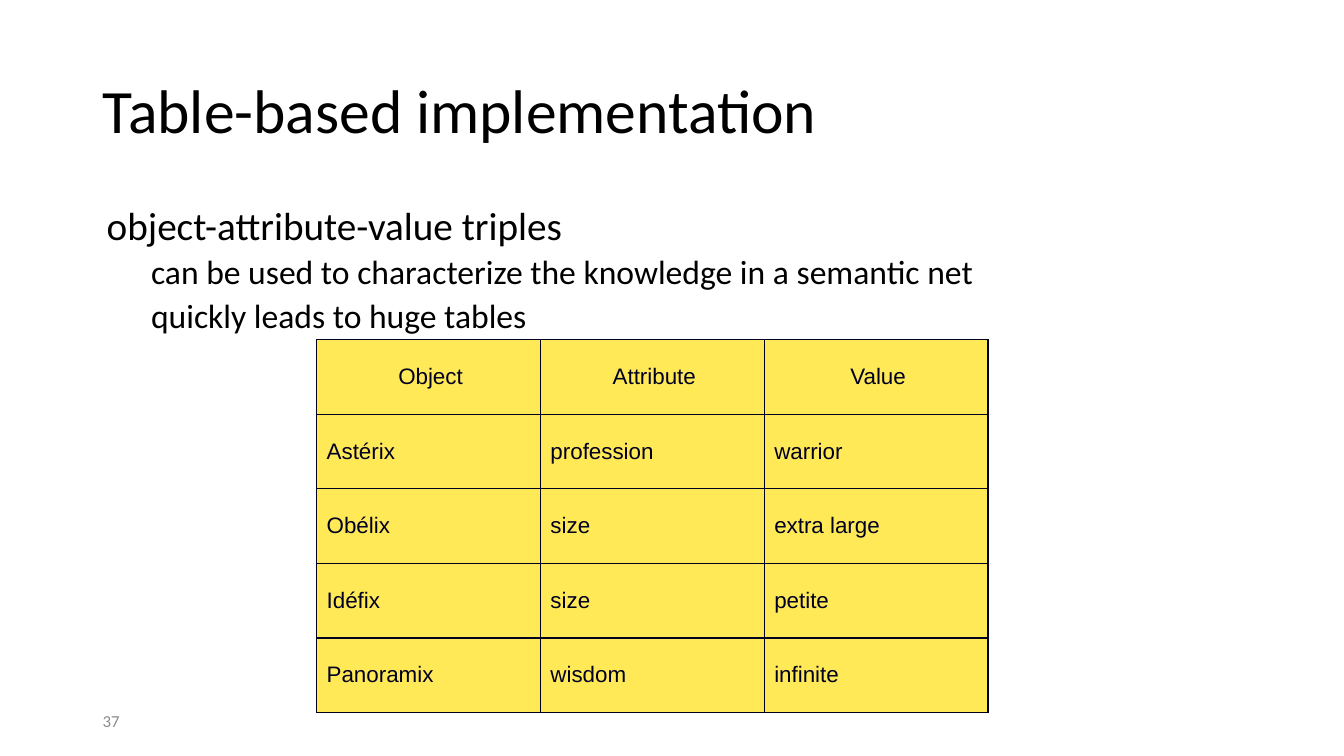
from dataclasses import dataclass

import pptx
import pptx.dml.color
import pptx.enum.text
import pptx.oxml
import pptx.oxml.ns
import pptx.slide
import pptx.table
import pptx.text.text
import pptx.util

RGBColor = pptx.dml.color.RGBColor
Align = pptx.enum.text.PP_ALIGN
Anchor = pptx.enum.text.MSO_ANCHOR

EMU_PER_PX = 9144  # 100 px to the inch
BLACK = RGBColor(0x00, 0x00, 0x00)
GREY = RGBColor(0x8C, 0x8C, 0x8C)
NAVY = RGBColor(0x00, 0x00, 0x20)
YELLOW = RGBColor(0xFF, 0xE9, 0x57)


@dataclass(frozen=True)
class Style:
    font: str
    size: int
    color: RGBColor
    indent: int = 0
    align: Align = Align.LEFT
    line_spacing: float = 1.0
    space_before: int = 0


@dataclass(frozen=True)
class Frame:
    left: int
    top: int
    width: int
    height: int


TITLE = Style("Calibri", 44, BLACK, line_spacing=0.9)
POINT = Style("Calibri", 28, BLACK, indent=4, line_spacing=0.9, space_before=10)
SUBPOINT = Style("Calibri", 24, BLACK, indent=48, line_spacing=0.9, space_before=5)
NUMBER = Style("Calibri", 12, GREY)
HEADER = Style("Arial", 16, NAVY, indent=4, align=Align.CENTER)
ENTRY = Style("Arial", 16, NAVY, indent=4)

TITLE_FRAME = Frame(92, 40, 1150, 145)
BODY_FRAME = Frame(92, 200, 1150, 476)
NUMBER_FRAME = Frame(92, 695, 300, 40)
TABLE_FRAME = Frame(314, 337, 666, 370)
CELL_MARGIN = 6

BODY = [
    ("object-attribute-value triples", POINT),
    ("can be used to characterize the knowledge in a semantic net", SUBPOINT),
    ("quickly leads to huge tables", SUBPOINT),
]
TRIPLES = [
    ("Object", "Attribute", "Value"),
    ("Astérix", "profession", "warrior"),
    ("Obélix", "size", "extra large"),
    ("Idéfix", "size", "petite"),
    ("Panoramix", "wisdom", "infinite"),
]


def px(length: int) -> pptx.util.Emu:
    return pptx.util.Emu(length * EMU_PER_PX)


def place(frame: Frame) -> tuple[pptx.util.Emu, ...]:
    return px(frame.left), px(frame.top), px(frame.width), px(frame.height)


def write(para: pptx.text.text._Paragraph, text: str, style: Style) -> None:
    para.text = text
    para.alignment = style.align
    para.line_spacing = style.line_spacing
    para.space_before = pptx.util.Pt(style.space_before)
    para.font.name = style.font
    para.font.size = pptx.util.Pt(style.size)
    para.font.color.rgb = style.color
    properties = para._p.get_or_add_pPr()
    properties.set("marL", str(px(style.indent)))
    properties.set("indent", "0")


def add_text(page: pptx.slide.Slide, frame: Frame, lines: list[tuple[str, Style]],
             anchor: Anchor) -> None:
    text_frame = page.shapes.add_textbox(*place(frame)).text_frame
    text_frame.word_wrap = True
    text_frame.vertical_anchor = anchor
    for index, (text, style) in enumerate(lines):
        para = text_frame.add_paragraph() if index else text_frame.paragraphs[0]
        write(para, text, style)


def add_borders(cell: pptx.table._Cell) -> None:
    properties = cell._tc.get_or_add_tcPr()
    for index, side in enumerate(("lnL", "lnR", "lnT", "lnB")):
        border = pptx.oxml.parse_xml(
            f'<a:{side} {pptx.oxml.ns.nsdecls("a")} w="{pptx.util.Pt(1)}">'
            f'<a:solidFill><a:srgbClr val="{NAVY}"/></a:solidFill></a:{side}>'
        )
        properties.insert(index, border)  # borders come before the fill


def add_triples(page: pptx.slide.Slide) -> None:
    rows, columns = len(TRIPLES), len(TRIPLES[0])
    table = page.shapes.add_table(rows, columns, *place(TABLE_FRAME)).table
    table.horz_banding = False
    table.first_row = False
    for row, triple in enumerate(TRIPLES):
        for column, text in enumerate(triple):
            cell = table.cell(row, column)
            cell.fill.solid()
            cell.fill.fore_color.rgb = YELLOW
            cell.vertical_anchor = Anchor.MIDDLE
            cell.margin_left = cell.margin_right = px(CELL_MARGIN)
            cell.margin_top = cell.margin_bottom = px(CELL_MARGIN)
            write(cell.text_frame.paragraphs[0], text, ENTRY if row else HEADER)
            add_borders(cell)


def main() -> None:
    deck = pptx.Presentation()
    deck.slide_width, deck.slide_height = px(1333), px(750)
    page = deck.slides.add_slide(deck.slide_layouts.get_by_name("Title Only"))

    # Title
    title = page.shapes.title
    title.left, title.top, title.width, title.height = place(TITLE_FRAME)
    title.text_frame.vertical_anchor = Anchor.MIDDLE
    title.text_frame.auto_size = pptx.enum.text.MSO_AUTO_SIZE.NONE
    write(title.text_frame.paragraphs[0], "Table-based implementation", TITLE)

    # Slide number, points and table
    add_text(page, NUMBER_FRAME, [("37", NUMBER)], Anchor.MIDDLE)
    add_text(page, BODY_FRAME, BODY, Anchor.TOP)
    add_triples(page)

    deck.save("out.pptx")


if __name__ == "__main__":
    main()
